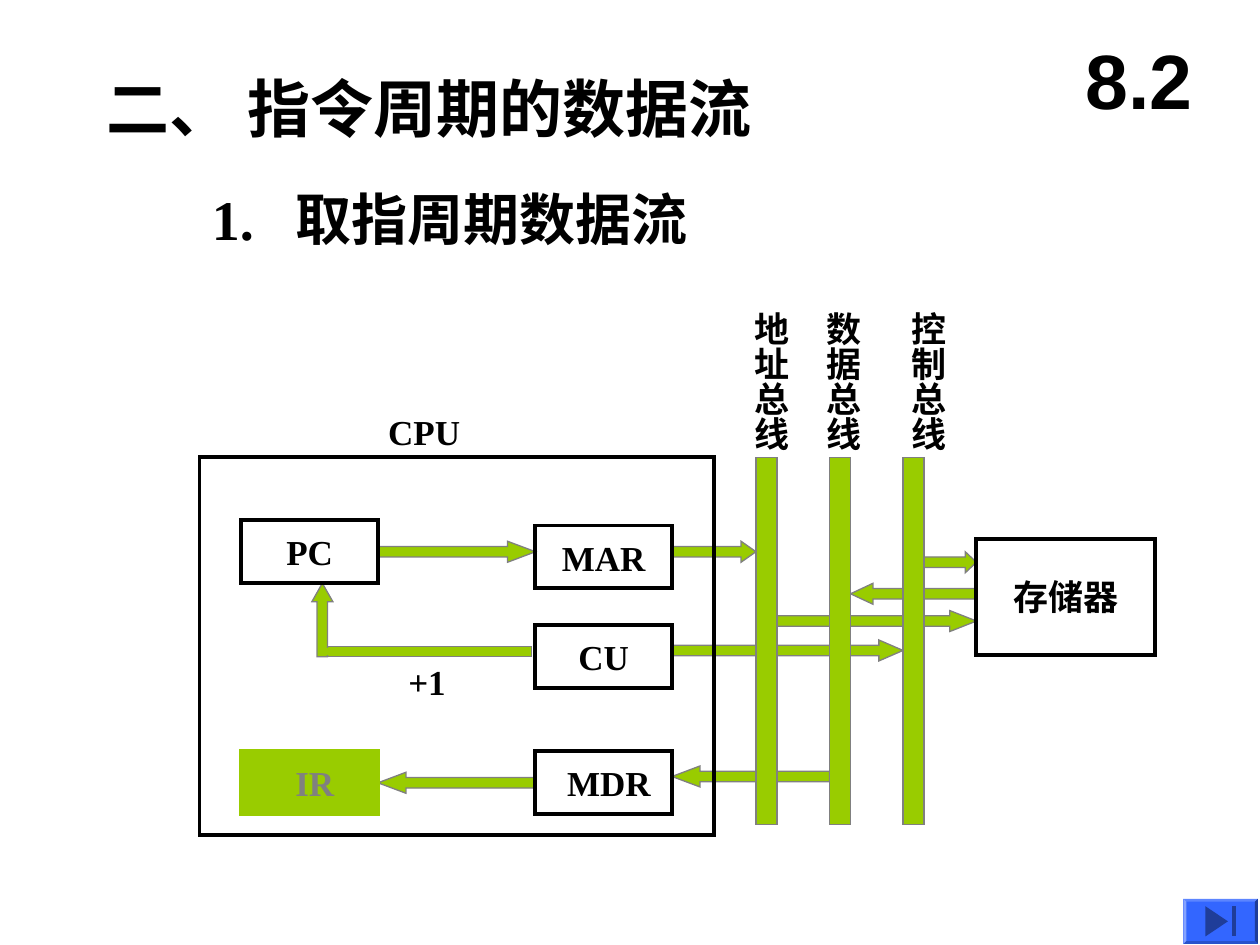
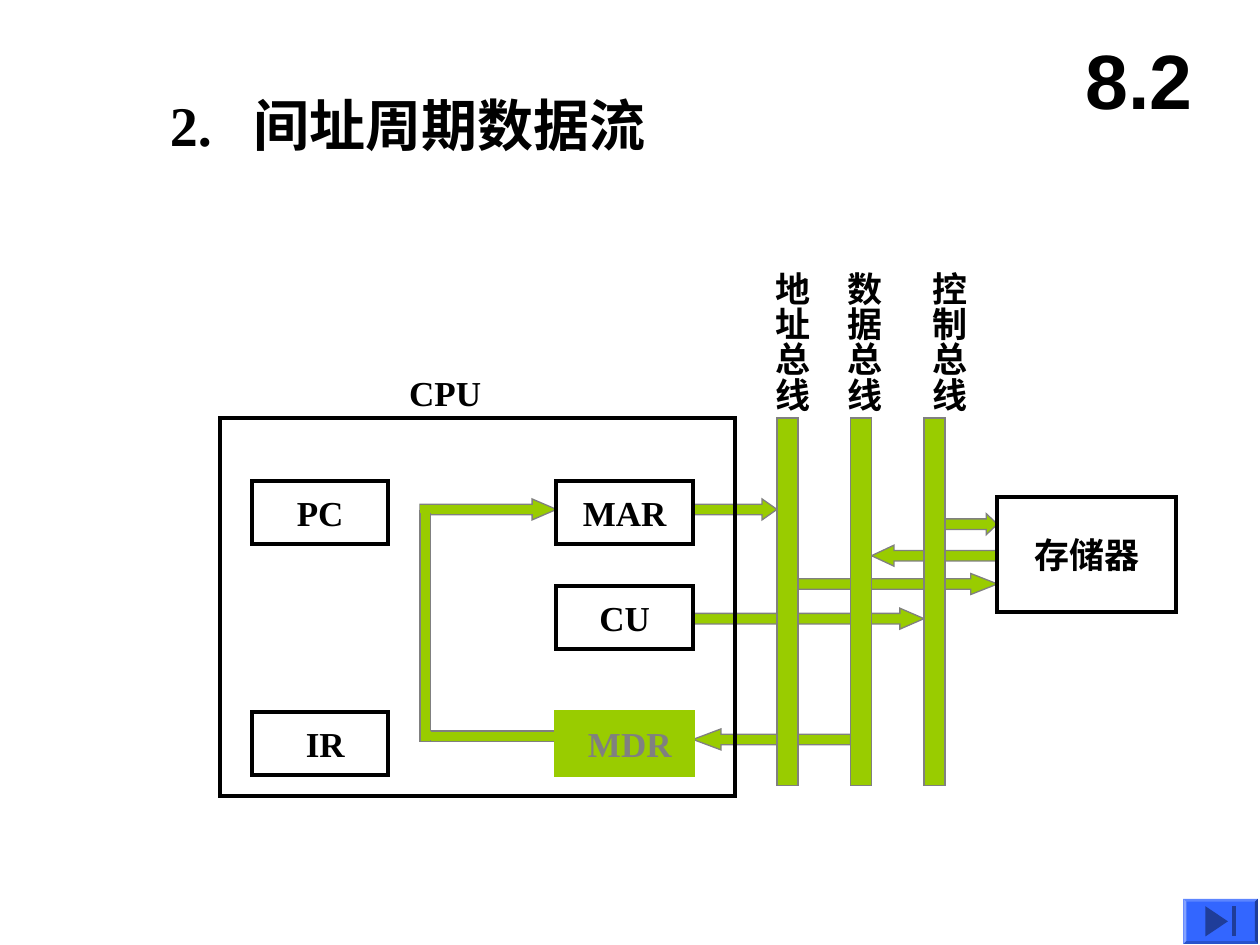
from lxml import etree
from pptx import Presentation
from pptx.dml.color import RGBColor
from pptx.enum.shapes import MSO_SHAPE
from pptx.enum.text import MSO_ANCHOR, MSO_AUTO_SIZE, PP_ALIGN
from pptx.oxml.ns import qn
from pptx.util import Inches, Pt

RECTANGLE, RIGHT_ARROW, UP_ARROW = MSO_SHAPE.RECTANGLE, MSO_SHAPE.RIGHT_ARROW, MSO_SHAPE.UP_ARROW
TOP, MIDDLE = MSO_ANCHOR.TOP, MSO_ANCHOR.MIDDLE
LEFT, CENTER = PP_ALIGN.LEFT, PP_ALIGN.CENTER
GROW = MSO_AUTO_SIZE.SHAPE_TO_FIT_TEXT

BLACK = RGBColor(0x00, 0x00, 0x00)
GRAY = RGBColor(0x80, 0x80, 0x80)
GREEN = RGBColor(0x99, 0xCC, 0x00)
BLUE = RGBColor(0x33, 0x66, 0xFF)
BLUE_PALE = RGBColor(0x85, 0xA3, 0xFF)
BLUE_LIGHT = RGBColor(0x5C, 0x85, 0xFF)
BLUE_DARK = RGBColor(0x29, 0x52, 0xCC)
BLUE_DEEP = RGBColor(0x1F, 0x3D, 0x99)
SERIF, SANS = "Times New Roman", "Arial"

# The slide is a grid of 120 columns by 90 rows
COLUMNS, ROWS = 120, 90
CELL = Inches(10) / COLUMNS
CPU_SIZE = (49, 36)
REGISTER_SIZE = (13, 6)
BUS_SIZE = (2, 35)
MEMORY_COLUMN, MEMORY_SIZE = 74, (17, 11)
RIGHT_REGISTERS = 32
OFF_CENTRE = ("IR", "MDR")

# Bus: column, label column
BUSES = {"地址总线": (53, 50.6), "数据总线": (60, 57.5), "控制总线": (67, 65.6)}

# Route: first column, length, head ratio, points left
ROUTES = {
    "MAR to address": (45, 8, 0.71, False),
    "control to memory": (68, 6, 0.53, False),
    "memory to data": (62, 12, 1.07, True),
    "address to memory": (55, 19, 1.27, False),
    "CU to control": (45, 22, 1.15, False),
    "data to MDR": (45, 15, 1.33, True),
}


def emu(cells):
    return round(cells * CELL)


class Region:
    """Places parts in grid cells from its own top left corner."""

    def __init__(self, slide, column=0, row=0):
        self.shapes, self.column, self.row = slide.shapes, column, row

    def frame(self, column, row, width, height):
        return (emu(self.column + column), emu(self.row + row), emu(width), emu(height))

    def shape(self, kind, box, fill=GREEN, line=GRAY, weight=0.75):
        part = self.shapes.add_shape(kind, *self.frame(*box))
        part.shadow.inherit = False
        if fill is None:
            part.fill.background()
        else:
            part.fill.solid()
            part.fill.fore_color.rgb = fill
        part.line.color.rgb = line
        part.line.width = Pt(weight)
        etree.SubElement(part.line._get_or_add_ln(), qn("a:miter"), lim="800000")
        return part

    def arrow(self, column, row, length, head, leftward=False):
        part = self.shape(RIGHT_ARROW, (column, row, length, 2))
        part.adjustments[0], part.adjustments[1] = 0.5, head
        if leftward:
            part.rotation = 180

    def patch(self, box):
        self.shape(RECTANGLE, box, line=GREEN)

    def text(self, words, box, size=20, font=SERIF, align=LEFT, wrap=True):
        label = self.shapes.add_textbox(*self.frame(*box))
        write(label.text_frame, words, size, font, align=align, wrap=wrap)
        return label.text_frame

    def polygon(self, points, fill):
        corners = [(emu(self.column + x), emu(self.row + y)) for x, y in points]
        builder = self.shapes.build_freeform(*corners[0])
        builder.add_line_segments(corners[1:], close=True)
        part = builder.convert_to_shape()
        part.shadow.inherit = False
        part.fill.solid()
        part.fill.fore_color.rgb = fill
        part.line.fill.background()


def write(frame, words, size=20, font=SERIF, color=BLACK, align=LEFT, anchor=TOP, wrap=False):
    frame.word_wrap = wrap
    frame.vertical_anchor = anchor
    paragraph = frame.paragraphs[0]
    paragraph.text = words
    paragraph.alignment = align
    for run in paragraph.runs:
        run.font.size, run.font.name, run.font.bold = Pt(size), font, True
        run.font.color.rgb = color


def add_tab_stop(paragraph, position):
    tabs = etree.SubElement(paragraph._p.get_or_add_pPr(), qn("a:tabLst"))
    etree.SubElement(tabs, qn("a:tab"), pos=str(position), algn="l")


# Headings
def add_subheading(slide, column, row, number, words):
    heading = Region(slide, column, row).text("", (0, 0, 75, 7.7))
    add_tab_stop(heading.paragraphs[0], Inches(0.66))
    write(heading, f"{number}\t{words}", 32, wrap=True)


# Section number and button that every slide shows
def add_section_number(slide):
    number = Region(slide, 101, 2).text("8.2", (0, 0, 15, 11), 44, SANS, CENTER)
    number.vertical_anchor = MIDDLE


def add_end_button(slide, width=7.1, height=4.3, bevel=0.28):
    button = Region(slide, 112.7, 85.6)
    outer = [(0, 0), (width, 0), (width, height), (0, height)]
    inner = [(bevel, bevel), (width - bevel, bevel),
             (width - bevel, height - bevel), (bevel, height - bevel)]
    button.polygon(outer, BLUE)
    for side, color in enumerate((BLUE_LIGHT, BLUE_DEEP, BLUE_DARK, BLUE_PALE)):
        after = (side + 1) % 4
        button.polygon([outer[side], outer[after], inner[after], inner[side]], color)
    top, bottom = height / 2 - 1.44, height / 2 + 1.44
    button.polygon([(4.25, height / 2), (2.1, bottom), (2.1, top)], BLUE_DEEP)
    button.polygon([(4.6, top), (4.6, bottom), (5, bottom), (5, top)], BLUE_DEEP)


# Diagram parts
def add_routes(diagram, rows):
    for route, row in zip(ROUTES.values(), rows):
        column, length, head, leftward = route
        diagram.arrow(column, row, length, head, leftward)


def add_register(diagram, name, column, row, active):
    fill, line, color = (GREEN, GREEN, GRAY) if active else (None, BLACK, BLACK)
    register = diagram.shape(RECTANGLE, (column, row, *REGISTER_SIZE), fill, line, 2.25)
    write(register.text_frame, name, color=color, align=CENTER, anchor=MIDDLE)
    if name in OFF_CENTRE:
        register.text_frame.margin_left = Inches(0.18)


def add_cpu(diagram, registers, active_name):
    for name, (column, row) in registers.items():
        add_register(diagram, name, column, row, name == active_name)
    diagram.shape(RECTANGLE, (0, 0, *CPU_SIZE), None, BLACK, 2.25)
    diagram.text("CPU", (14.4, -5, 14, 5.3), align=CENTER)


def add_buses(diagram):
    for name, (column, label_column) in BUSES.items():
        diagram.shape(RECTANGLE, (column, 0, *BUS_SIZE))
        label = diagram.text(name, (label_column, -15.1, 6.4, 14.6), wrap=False)
        label.margin_left = label.margin_right = Inches(0.05)
        label.margin_top = label.margin_bottom = Inches(0.1)
        label.auto_size = GROW
        label._txBody.bodyPr.set("vert", "eaVert")


def add_memory(diagram, row):
    memory = diagram.shape(RECTANGLE, (MEMORY_COLUMN, row, *MEMORY_SIZE), None, BLACK, 2.25)
    write(memory.text_frame, "存储器", align=CENTER, anchor=MIDDLE)


def add_fetch_paths(diagram):
    diagram.arrow(17, 8, 15, 1.33)
    diagram.arrow(17, 30, 15, 1.33, leftward=True)
    # CU steps the PC
    diagram.shape(RECTANGLE, (11.6, 18, 20, 1))
    step = diagram.shape(UP_ARROW, (10.7, 12, 2, 7))
    step.adjustments[0], step.adjustments[1] = 0.5, 0.88
    diagram.patch((12.1, 18.2, 0.5, 0.6))
    diagram.text("+1", (18.7, 18.8, 21, 5.3))


def add_indirect_path(diagram):
    # MDR back to MAR
    diagram.arrow(19, 7.7, 13, 1.16)
    diagram.shape(RECTANGLE, (19, 29.8, 13, 1))
    diagram.shape(RECTANGLE, (19, 8.8, 1, 22))
    diagram.patch((19.3, 29.9, 0.7, 0.7))
    diagram.patch((19.1, 8.3, 1.7, 0.7))


def add_diagram(slide, origin, add_paths, route_rows, left_column, top_rows, memory_row, active):
    diagram = Region(slide, *origin)
    pc_row, mar_row = top_rows
    registers = {
        "PC": (left_column, pc_row),
        "IR": (left_column, 28),
        "MAR": (RIGHT_REGISTERS, mar_row),
        "CU": (RIGHT_REGISTERS, 16),
        "MDR": (RIGHT_REGISTERS, 28),
    }
    add_routes(diagram, route_rows)
    add_paths(diagram)
    add_cpu(diagram, registers, active)
    add_buses(diagram)
    add_memory(diagram, memory_row)


# Slides
def new_slide(deck):
    slide = deck.slides.add_slide(deck.slide_layouts[6])
    add_section_number(slide)
    add_end_button(slide)
    return slide


def add_fetch_slide(deck):
    slide = new_slide(deck)
    Region(slide, 9, 6).text("二、 指令周期的数据流", (0, 0, 75, 8.4), 36)
    add_subheading(slide, 19, 17, "1.", "取指周期数据流")
    add_diagram(slide, (19, 43.55), add_fetch_paths, (8, 9, 12, 14.6, 17.4, 29.4),
                left_column=4, top_rows=(6, 6.5), memory_row=7.8, active="IR")


def add_indirect_slide(deck):
    slide = new_slide(deck)
    add_subheading(slide, 15, 8, "2.", "间址周期数据流")
    add_diagram(slide, (21, 39.82), add_indirect_path, (7.7, 9.1, 12.1, 14.8, 18.1, 29.6),
                left_column=3, top_rows=(6, 6), memory_row=7.5, active="MDR")


def main():
    deck = Presentation()
    deck.slide_width, deck.slide_height = emu(COLUMNS), emu(ROWS)
    add_fetch_slide(deck)
    add_indirect_slide(deck)
    deck.save("out.pptx")


if __name__ == "__main__":
    main()
